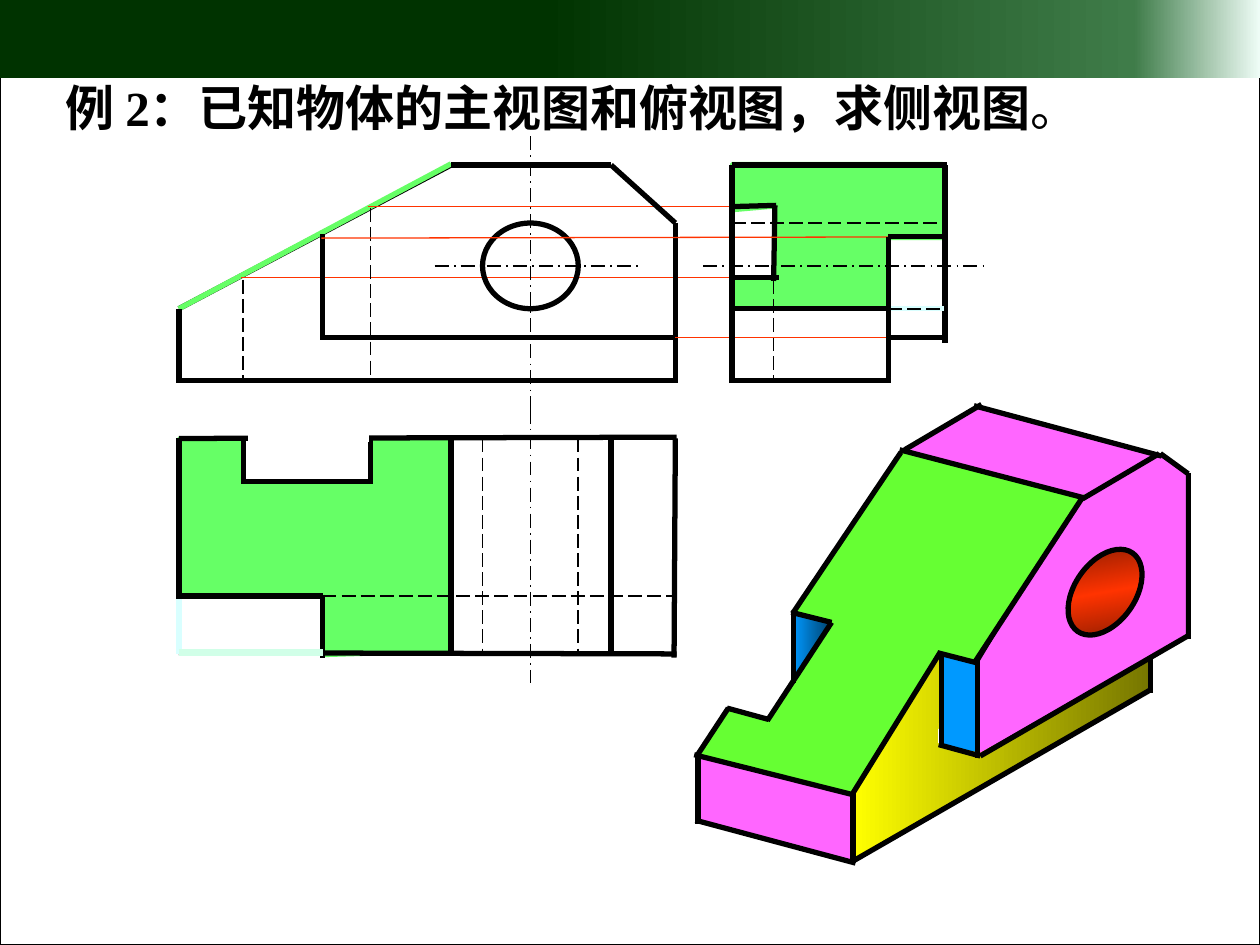
from copy import deepcopy

from lxml.etree import SubElement
from pptx import Presentation
from pptx.dml.color import RGBColor
from pptx.enum.dml import MSO_LINE
from pptx.enum.shapes import MSO_CONNECTOR, MSO_SHAPE
from pptx.enum.text import MSO_AUTO_SIZE
from pptx.oxml.ns import qn
from pptx.util import Cm, Pt

TITLE = [("例 2：已知物体的主视图和俯视图，求侧视图", True), ("。", False)]

# Line styles: colour, width in points, dash
STYLES = {
    "edge": ("000000", 3, None),
    "hidden": ("000000", 1, MSO_LINE.LONG_DASH),
    "axis": ("000000", 1, MSO_LINE.LONG_DASH_DOT),
    "project": ("FF3300", 0.75, None),
    "slope": ("66FF66", 3, None),
    "face": ("66FF66", 2.25, None),
    "thin": ("000000", 1, None),
    "border": ("000000", 0.75, None),
    "mask": ("FFFFFF", 4.5, None),
    "pale": ("D9FFFF", 3, None),
    "pale green": ("D1FFE8", 4, None),
}
# Gradients: stops in percent
BAND = [(43, "003300"), (90, "3F7C49"), (100, "EEFCF6")]
BLUE = [(0, "0099FF"), (100, "004776")]
YELLOW = [(0, "FFFF00"), (100, "767600")]
RED = [(0, "761800"), (50, "FF3300"), (100, "761800")]

# Columns shared by front and top view, in grid units of 2.54 cm
X0, NOTCH1, STEP, NOTCH2, APEX = 1.42, 1.93, 2.56, 2.94, 3.58
HOLE1, AXIS, HOLE2, BEVEL, X1 = 3.83, 4.21, 4.59, 4.85, 5.36
# Rows shared by front and side view
TOP, SLOT1, CORNER, SHELF, CENTRE = 1.31, 1.64, 1.77, 1.88, 2.11
SLOT2, TOE, LEDGE, BASE = 2.2, 2.45, 2.68, 3.02
# Rows of the top view, columns of the side view
BACK, NOTCH_Y, STEP_Y, FRONT = 3.48, 3.82, 4.73, 5.18
SIDE0, SLOT_X, SHELF_X, SIDE1 = 5.81, 6.14, 7.05, 7.5

# Parts from back to front: ("line", style, x1, y1, x2, y2, ...),
# ("poly", style, fill, points), ("oval", fill, left, top, width, height, turn)
FACES = [
    ("poly", "face", "66FF66", [
        (SIDE0, 1.3), (7.48, 1.3), (7.48, 1.89), (7.04, 1.89), (7.04, TOE),
        (SIDE0, TOE), (SIDE0, SLOT2), (6.15, 2.22), (6.15, SLOT1), (SIDE0, 1.67)]),
    ("poly", "face", "66FF66", [
        (X0, BACK), (X0, STEP_Y), (2.57, STEP_Y), (2.57, 5.2), (APEX, 5.17),
        (3.55, BACK), (NOTCH2, BACK), (2.97, 3.82), (1.92, 3.83), (1.91, BACK)]),
    ("line", "slope", X0, TOE, APEX, 1.3),
]
FRONT_AND_TOP = [
    ("line", "project", 2.92, SLOT1, 6.13, SLOT1, 1.91, SLOT2, 6.15, SLOT2),
    # Slot in the side view
    ("line", "edge", 6.18, SLOT2, SIDE0, SLOT2, SLOT_X, 2.23, 6.15, 1.63,
     6.16, 1.63, SIDE0, SLOT1),
    ("line", "hidden", SLOT_X, 2.22, SLOT_X, BASE),
    # Front view
    ("line", "edge", 1.4, BASE, 5.38, BASE, X0, BASE, X0, TOE, APEX, TOP, BEVEL, TOP,
     BEVEL, TOP, X1, CORNER, X1, CORNER, X1, BASE),
    ("oval", None, HOLE1, CORNER, 0.76, 0.68, 0),
    ("line", "axis", AXIS, 1.08, AXIS, 3.36, 3.45, CENTRE, 5.1, CENTRE),
    # Top view
    ("line", "edge", X0, BACK, 5.37, 3.47, X0, BACK, X0, 5.19, X0, FRONT, 5.37, 5.19,
     X1, BACK, 5.35, 5.22, BEVEL, BACK, BEVEL, 5.19, APEX, BACK, APEX, 5.19),
    ("line", "axis", AXIS, 3.25, AXIS, 5.42),
    ("line", "hidden", HOLE2, BACK, HOLE2, 5.19, HOLE1, BACK, HOLE1, 5.19,
     NOTCH2, 1.65, NOTCH2, BASE, NOTCH1, 2.22, NOTCH1, BASE),
    ("line", "edge", NOTCH1, 3.47, NOTCH1, 3.84, NOTCH2, 3.46, NOTCH2, 3.84,
     NOTCH1, NOTCH_Y, NOTCH2, NOTCH_Y),
    ("line", "mask", 1.97, BACK, 2.93, BACK),
    ("line", "hidden", STEP, STEP_Y, X1, STEP_Y),
    ("line", "edge", STEP, 4.72, STEP, 5.22),
    ("line", "pale", X0, STEP_Y, X0, 5.19),
    ("line", "pale green", X0, FRONT, STEP, FRONT),
    # Step and its projection to the side view
    ("line", "edge", STEP, 1.86, STEP, 2.7, STEP, LEDGE, X1, LEDGE),
    ("line", "project", 2.55, 1.89, 7.49, SHELF),
    ("line", "edge", SHELF_X, SHELF, 7.49, SHELF),
    ("line", "project", X1, LEDGE, 7.49, LEDGE),
    ("line", "edge", SHELF_X, LEDGE, 7.49, LEDGE),
]
SIDE = [
    ("line", "edge", SIDE0, 3.04, SIDE0, TOP, SIDE0, TOP, 7.52, TOP,
     SIDE0, BASE, 7.51, BASE, SIDE1, 3.03, SIDE1, TOP, SIDE0, TOE, 7.49, TOE),
    ("line", "hidden", SIDE0, CORNER, 7.49, CORNER),
    ("line", "axis", 5.58, CENTRE, 7.83, CENTRE),
]
SIDE_STEP = [
    ("line", "pale", SHELF_X, TOE, 7.49, TOE),
    ("line", "hidden", SHELF_X, TOE, 7.49, TOE),
    ("line", "edge", SHELF_X, BASE, SHELF_X, SHELF),
]
SIDE_MASKS = [("line", "mask", 7.07, BASE, 7.56, BASE, SIDE1, 2.72, SIDE1, 3.13)]
TOP_STEP = [("line", "edge", STEP, STEP_Y, 1.4, STEP_Y)]
SOLID = [
    ("poly", "thin", "FF66FF", [(9.19, 3.6), (9.42, 3.76), (9.42, 5.05), (7.77, 5.99),
                                (7.76, 5.26), (8.55, 3.95)]),
    ("poly", None, "FF66FF", [(7.18, 3.58), (7.76, 3.24), (9.17, 3.61), (8.61, 3.94),
                              (7.48, 3.64)]),
    ("poly", None, "0099FF", [(7.47, 5.19), (7.47, 5.9), (7.76, 5.98), (7.76, 5.24)]),
    ("poly", None, BLUE, [(6.29, 4.87), (6.58, 4.94), (6.29, 5.41)]),
    ("poly", None, "FF66FF", [(5.55, 5.99), (5.55, 6.52), (6.76, 6.83), (6.76, 6.3)]),
    ("poly", None, YELLOW, [(6.77, 6.31), (6.77, 6.83), (9.11, 5.5), (9.13, 5.23),
                            (7.78, 5.98), (7.44, 5.9), (7.47, 5.21)]),
    ("poly", None, "66FF33", [
        (7.15, 3.58), (8.61, 3.97), (8.6, 3.92), (7.73, 5.27), (7.45, 5.19), (6.76, 6.29),
        (5.53, 6), (5.78, 5.62), (6.11, 5.71), (6.6, 4.95), (6.3, 4.88)]),
    # Uprights
    ("line", "edge", 5.54, 6, 5.54, 6.54, 6.77, 6.29, 6.77, 6.85, 6.3, 4.86, 6.3, 5.42,
     7.47, 5.18, 7.47, 5.92, 7.76, 5.23, 7.76, 6.02, 9.43, 3.75, 9.43, 5.07),
    # Edges along width and depth
    ("line", "edge", 5.51, 5.99, 6.78, 6.31, 5.52, 6.51, 6.79, 6.85, 7.14, 3.57, 8.6, 3.95,
     8.59, 3.96, 9.2, 3.6, 7.73, 3.22, 9.22, 3.62, 6.28, 4.86, 6.6, 4.94,
     7.44, 5.18, 7.75, 5.26, 7.45, 5.91, 7.78, 6, 7.78, 6, 9.44, 5.04,
     9.13, 5.23, 9.13, 5.5, 9.14, 5.47, 6.76, 6.84, 7.18, 3.57, 7.79, 3.21),
    # Sloping edges
    ("line", "edge", 9.21, 3.6, 9.43, 3.76, 8.59, 3.95, 7.74, 5.25, 7.15, 3.59, 6.29, 4.87,
     6.6, 4.94, 6.09, 5.72, 6.1, 5.71, 5.77, 5.62, 5.78, 5.62, 5.53, 6,
     7.46, 5.18, 6.76, 6.31),
    ("oval", RED, 8.53, 4.32, 0.48, 0.76, 35),
]


def grid(*values):
    return [Cm(2.54 * v) for v in values]


def rgb(code):
    return RGBColor.from_string(code)


def set_line(line, style):
    if style is None:
        line.fill.background()
        return
    color, width, dash = STYLES[style]
    line.color.rgb = rgb(color)
    line.width = Pt(width)
    if dash:
        line.dash_style = dash


def set_fill(fill, value, sp):
    if value is None:
        fill.background()
    elif isinstance(value, str):
        fill.solid()
        fill.fore_color.rgb = rgb(value)
    else:
        fill.gradient()
        fill.gradient_angle = 315 if value is RED else 0
        stops = sp._element.spPr.find(".//" + qn("a:gsLst"))
        first = deepcopy(stops[0])
        for stop in list(stops):
            stops.remove(stop)
        for pos, color in value:
            stop = deepcopy(first)
            stop.set("pos", str(pos * 1000))
            for child in list(stop):
                stop.remove(child)
            SubElement(stop, qn("a:srgbClr")).set("val", color)
            stops.append(stop)


def paint(sp, fill, style):
    sp.shadow.inherit = False
    set_fill(sp.fill, fill, sp)
    set_line(sp.line, style)


def draw(shapes, parts):
    for kind, *args in parts:
        if kind == "line":
            style, *ends = args
            for i in range(0, len(ends), 4):
                sp = shapes.add_connector(MSO_CONNECTOR.STRAIGHT, *grid(*ends[i:i + 4]))
                set_line(sp.line, style)
                SubElement(sp._element.spPr, qn("a:effectLst"))
        elif kind == "poly":
            style, fill, points = args
            start, *rest = [grid(*point) for point in points]
            builder = shapes.build_freeform(*start)
            builder.add_line_segments(rest, close=True)
            paint(builder.convert_to_shape(), fill, style)
        else:
            fill, *box, turn = args
            sp = shapes.add_shape(MSO_SHAPE.OVAL, *grid(*box))
            sp.rotation = turn
            paint(sp, fill, "edge")


prs = Presentation()
prs.slide_width, prs.slide_height = grid(10, 7.5)
s = prs.slides.add_slide(prs.slide_layouts[6])

# Frame and header band
for box, fill, style in (((0, 0, 10, 7.5), None, "border"), ((0, -0.02, 10, 0.64), BAND, None)):
    paint(s.shapes.add_shape(MSO_SHAPE.RECTANGLE, *grid(*box)), fill, style)

# Views and solid
draw(s.shapes, [("line", "edge", X0, TOE, APEX, TOP)])
for parts, grouped in ((FACES, True), (FRONT_AND_TOP, False), (SIDE, True), (SIDE_STEP, False),
                       (SIDE_MASKS, True), (TOP_STEP, False), (SOLID, True)):
    draw(s.shapes.add_group_shape().shapes if grouped else s.shapes, parts)

# Title
tf = s.shapes.add_textbox(*grid(0.42, 0.57, 7.89, 0.57)).text_frame
tf.word_wrap = True
tf.auto_size = MSO_AUTO_SIZE.SHAPE_TO_FIT_TEXT
p = tf.paragraphs[0]
for text, bold in TITLE:
    r = p.add_run()
    r.text = text
    for name, value in {"name": "Times New Roman", "size": Pt(28), "bold": bold}.items():
        setattr(r.font, name, value)
    r.font.color.rgb = rgb("000000")

prs.save("out.pptx")
